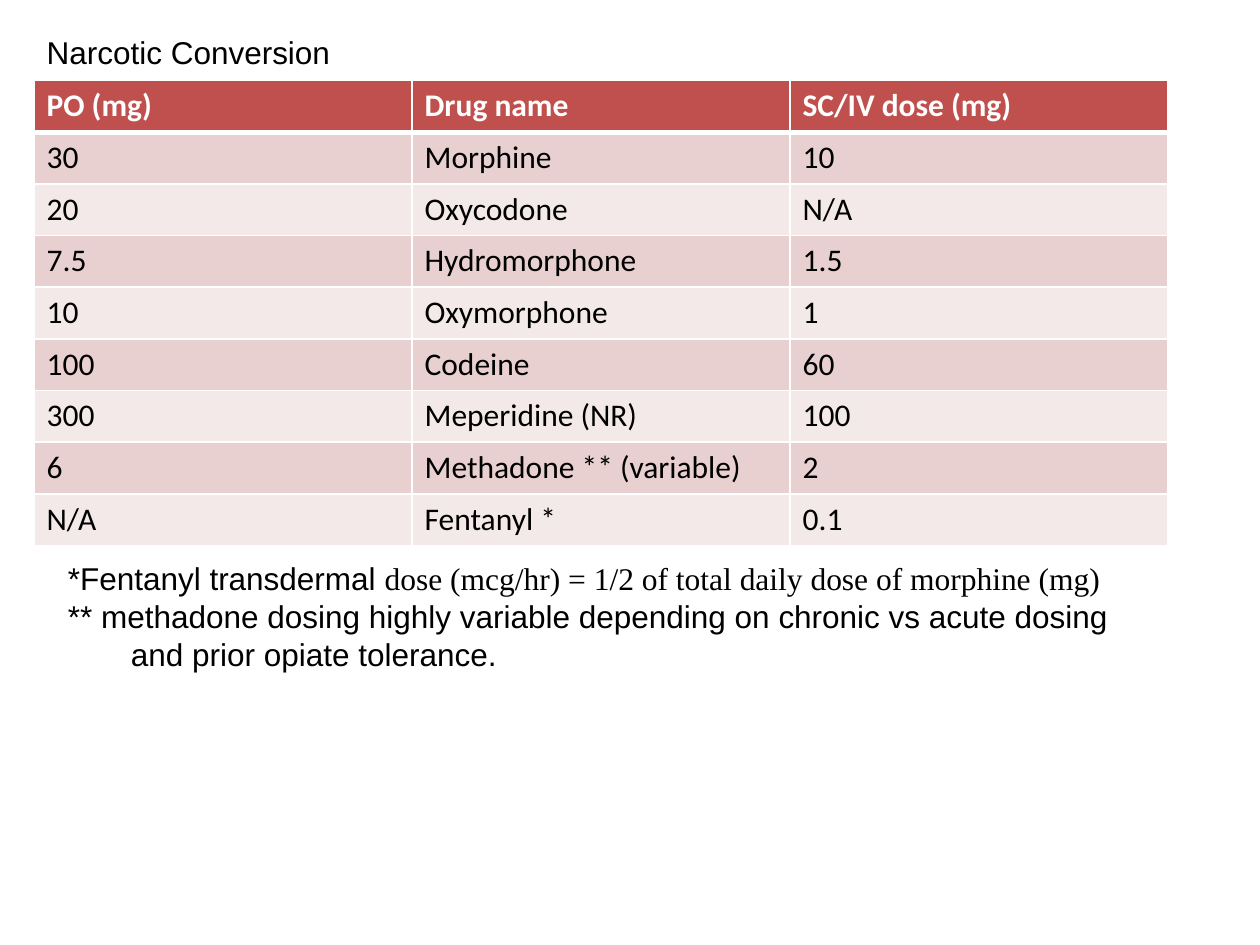
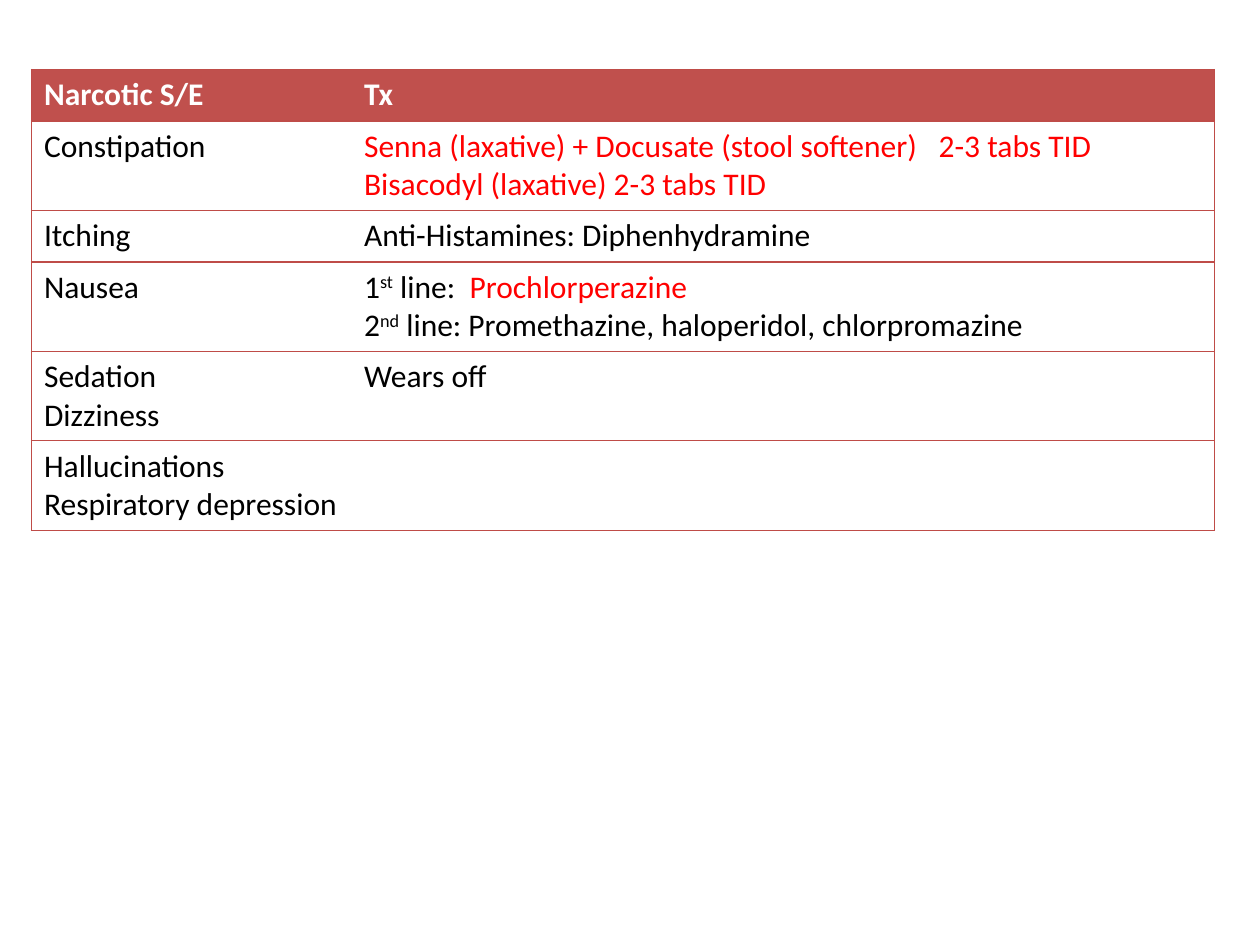
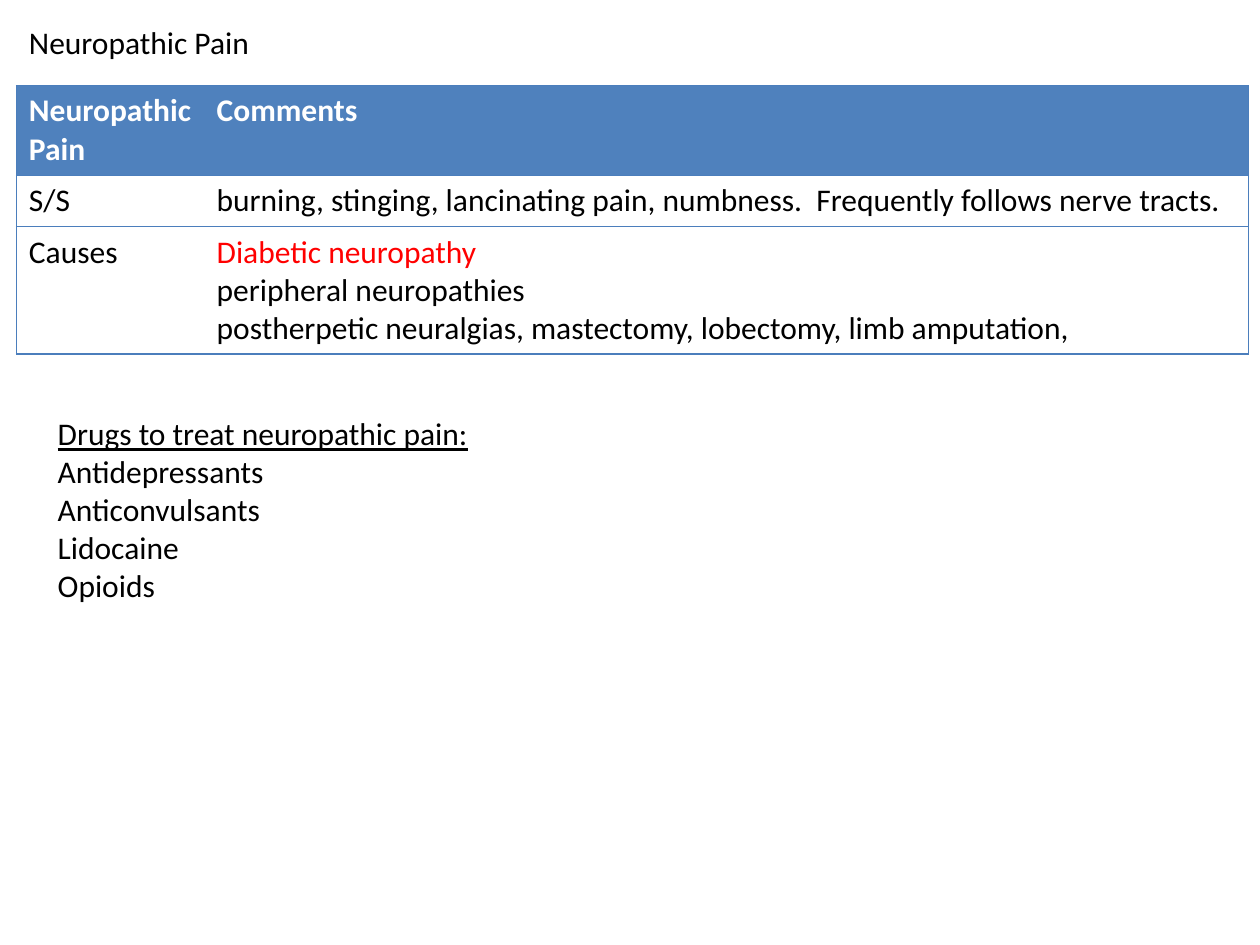
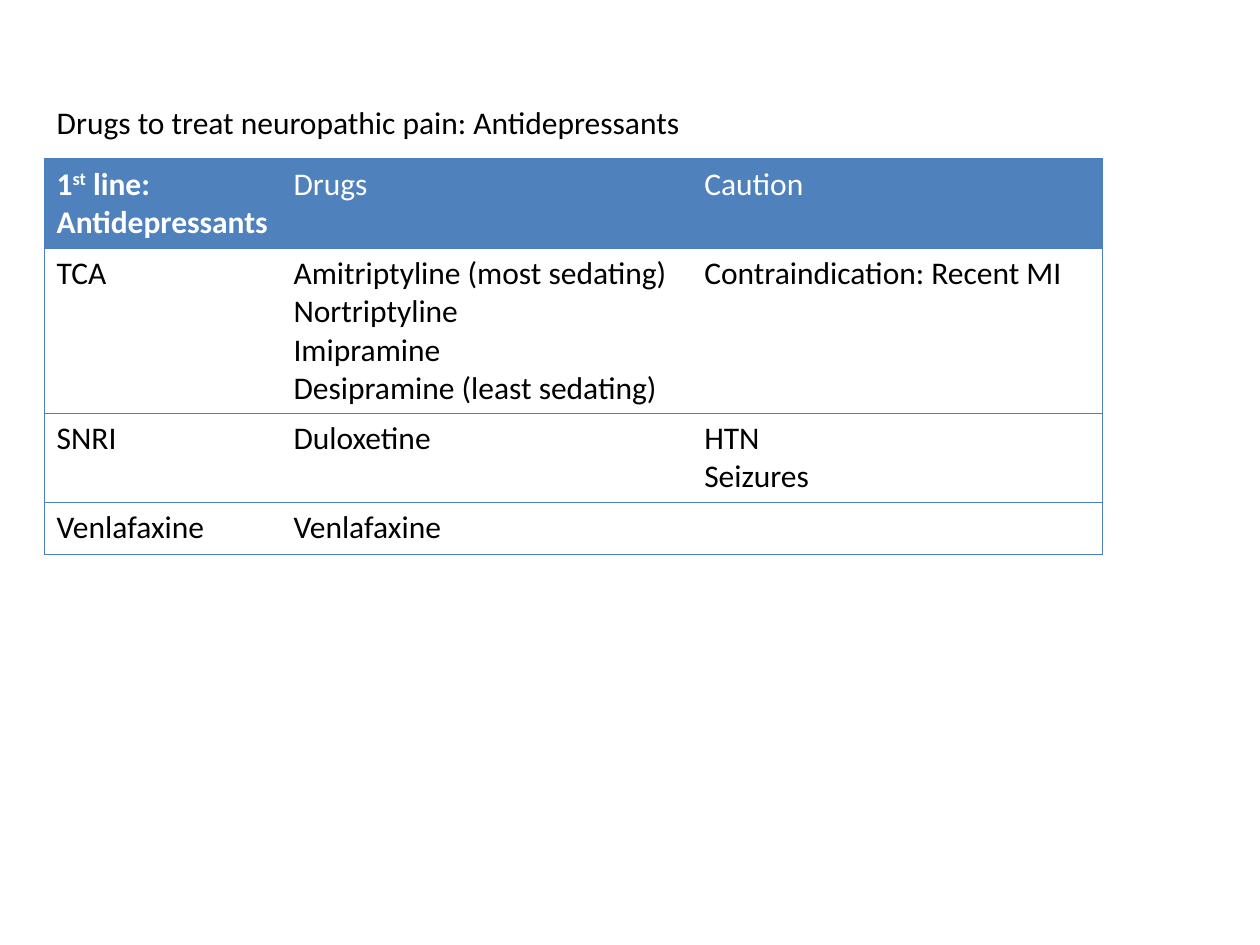
import dataclasses

import pptx
import pptx.dml.color
import pptx.enum.text
import pptx.oxml.ns
import pptx.util
from lxml import etree

Inches = pptx.util.Inches


@dataclasses.dataclass(frozen=True)
class Theme:
    font: str = "Calibri"
    sans: str = "Arial"
    serif: str = "Times New Roman"
    size: int = 18
    text: str = "000000"
    alert: str = "FF0000"
    white: str = "FFFFFF"
    red: str = "C0504D"
    red_line: str = "BF4C48"
    blue: str = "4F81BD"
    blue_line: str = "4B7EBC"
    bands: tuple = ("E8D0D0", "F4E9E9")
    row_height: float = 0.41
    line_height: float = 0.3


THEME = Theme()


# Text: content is a list of paragraphs, each a string or a list of runs;
# a run is a string or a (string, format) pair.
def alert(text):
    return text, {"color": THEME.alert}


def raised(text):
    return text, {"baseline": 30000}


def as_paragraphs(content):
    return content.split("\n") if isinstance(content, str) else content


def format_run(run, font=THEME.font, color=THEME.text, bold=False,
               underline=False, baseline=None):
    run.font.name = font
    run.font.size = pptx.util.Pt(THEME.size)
    run.font.bold = bold
    run.font.underline = underline
    run.font.color.rgb = pptx.dml.color.RGBColor.from_string(color)
    if baseline:
        run.font._element.set("baseline", str(baseline))


def add_tab_stop(paragraph, position):
    properties = paragraph._p.get_or_add_pPr()
    tabs = etree.SubElement(properties, pptx.oxml.ns.qn("a:tabLst"))
    etree.SubElement(tabs, pptx.oxml.ns.qn("a:tab"),
                     pos=str(Inches(position)), algn="l")


def write_text(frame, content, tab_stop=None, **text_format):
    for index, runs in enumerate(as_paragraphs(content)):
        paragraph = frame.paragraphs[0] if index == 0 else frame.add_paragraph()
        paragraph.alignment = pptx.enum.text.PP_ALIGN.LEFT
        runs = [runs] if isinstance(runs, str) else runs
        pairs = [(run, {}) if isinstance(run, str) else run for run in runs]
        if tab_stop and any("\t" in text for text, _ in pairs):
            add_tab_stop(paragraph, tab_stop)
        for text, changes in pairs:
            if text:
                run = paragraph.add_run()
                run.text = text
                format_run(run, **{**text_format, **changes})


def fit_text(shape, content, **text_format):
    frame = shape.text_frame
    frame.word_wrap = False
    frame.auto_size = pptx.enum.text.MSO_AUTO_SIZE.SHAPE_TO_FIT_TEXT
    frame.vertical_anchor = pptx.enum.text.MSO_ANCHOR.TOP
    write_text(frame, content, **text_format)


def add_text(slide, content, left, top, width, height, **text_format):
    box = slide.shapes.add_textbox(*map(Inches, (left, top, width, height)))
    fit_text(box, content, **text_format)


# Slides
def add_titled_slide(presentation, title, left, top, width, **text_format):
    slide = presentation.slides.add_slide(presentation.slide_layouts[5])
    shape = slide.shapes.title
    shape.left, shape.top = Inches(left), Inches(top)
    shape.width, shape.height = Inches(width), Inches(0.4)
    fit_text(shape, title, **text_format)
    return slide


# Tables
def set_border(cell, side, color, width):
    properties = cell._tc.get_or_add_tcPr()
    line = etree.SubElement(properties, pptx.oxml.ns.qn(f"a:ln{side}"),
                            w=str(pptx.util.Pt(width)))
    if color is None:
        etree.SubElement(line, pptx.oxml.ns.qn("a:noFill"))
        return
    fill = etree.SubElement(line, pptx.oxml.ns.qn("a:solidFill"))
    etree.SubElement(fill, pptx.oxml.ns.qn("a:srgbClr"), val=color)


def set_fill(cell, color):
    if color is None:
        cell.fill.background()
    else:
        cell.fill.solid()
        cell.fill.fore_color.rgb = pptx.dml.color.RGBColor.from_string(color)


def add_table(slide, rows, left, top, widths, header, line, line_width=0.75,
              bands=(None,), inner_verticals=False, header_rule=None,
              tab_stop=None):
    heights = [THEME.row_height + THEME.line_height
               * (max(len(as_paragraphs(content)) for content in row) - 1)
               for row in rows]
    table = slide.shapes.add_table(
        len(rows), len(widths), Inches(left), Inches(top),
        Inches(sum(widths)), Inches(sum(heights))).table
    table.horz_banding = False
    for column, width in zip(table.columns, widths):
        column.width = Inches(width)
    header_rule = header_rule or line_width
    last = len(widths) - 1
    for row_index, row in enumerate(rows):
        table.rows[row_index].height = Inches(heights[row_index])
        is_header = row_index == 0
        for column_index, content in enumerate(row):
            cell = table.cell(row_index, column_index)
            write_text(cell.text_frame, content, tab_stop=tab_stop, bold=is_header,
                       color=THEME.white if is_header else THEME.text)
            left_line = line if inner_verticals or column_index == 0 else None
            right_line = line if inner_verticals or column_index == last else None
            set_border(cell, "L", left_line, line_width)
            set_border(cell, "R", right_line, line_width)
            set_border(cell, "T", line, header_rule if row_index == 1 else line_width)
            set_border(cell, "B", line, header_rule if is_header else line_width)
            set_fill(cell, header if is_header else bands[(row_index - 1) % len(bands)])


# Content
def add_conversion_slide(presentation):
    slide = add_titled_slide(presentation, "Narcotic Conversion", 0.27, 0.21, 2.47,
                             font=THEME.sans)
    rows = [
        ("PO (mg)", "Drug name", "SC/IV dose (mg)"),
        ("30", "Morphine", "10"),
        ("20", "Oxycodone", "N/A"),
        ("7.5", "Hydromorphone", "1.5"),
        ("10", "Oxymorphone", "1"),
        ("100", "Codeine", "60"),
        ("300", "Meperidine (NR)", "100"),
        ("6", "Methadone ** (variable)", "2"),
        ("N/A", "Fentanyl *", "0.1"),
    ]
    add_table(slide, rows, 0.27, 0.64, [3, 3, 3], THEME.red, THEME.white,
              line_width=1, bands=THEME.bands, inner_verticals=True, header_rule=3)
    notes = [
        ["*Fentanyl transdermal ",
         ("dose (mcg/hr) = 1/2 of total daily dose of morphine (mg)",
          {"font": THEME.serif})],
        "** methadone dosing highly variable depending on chronic vs acute dosing",
        "\tand prior opiate tolerance.",
    ]
    add_text(slide, notes, 0.44, 4.39, 8.6, 1.01, font=THEME.sans, tab_stop=0.5)


def add_side_effects_slide(presentation):
    slide = presentation.slides.add_slide(presentation.slide_layouts[6])
    rows = [
        ("Narcotic S/E", "Tx"),
        ("Constipation",
         [[alert("Senna (laxative) + Docusate (stool softener)\t2-3 tabs TID")],
          [alert("Bisacodyl (laxative) 2-3 tabs TID")]]),
        ("Itching", "Anti-Histamines: Diphenhydramine"),
        ("Nausea",
         [["1", raised("st"), " line:  ", alert("Prochlorperazine")],
          ["2", raised("nd"), " line: Promethazine, haloperidol, chlorpromazine"]]),
        ("Sedation\nDizziness", "Wears off"),
        ("Hallucinations\nRespiratory depression", ""),
    ]
    add_table(slide, rows, 0.25, 0.55, [2.54, 6.85], THEME.red, THEME.red_line,
              tab_stop=4.56)


def add_neuropathic_slide(presentation):
    slide = add_titled_slide(presentation, "Neuropathic Pain", 0.13, 0.13, 1.98)
    rows = [
        ("Neuropathic\nPain", "Comments"),
        ("S/S", "burning, stinging, lancinating pain, numbness.  "
                "Frequently follows nerve tracts."),
        ("Causes",
         [[alert("Diabetic neuropathy")],
          "peripheral neuropathies",
          "postherpetic neuralgias, mastectomy, lobectomy, limb amputation,"]),
    ]
    add_table(slide, rows, 0.13, 0.68, [1.49, 8.29], THEME.blue, THEME.blue_line)
    drugs = [[("Drugs to treat neuropathic pain:", {"underline": True})],
             "Antidepressants", "Anticonvulsants", "Lidocaine", "Opioids"]
    add_text(slide, drugs, 0.36, 3.24, 3.5, 1.62)


def add_antidepressants_slide(presentation):
    slide = add_titled_slide(
        presentation, "Drugs to treat neuropathic pain: Antidepressants",
        0.35, 0.77, 5.22)
    plain = {"bold": False}
    rows = [
        ([["1", raised("st"), " line:"], "Antidepressants"],
         [[("Drugs", plain)]], [[("Caution", plain)]]),
        ("TCA",
         "Amitriptyline (most sedating)\nNortriptyline\nImipramine\n"
         "Desipramine (least sedating)",
         "Contraindication: Recent MI"),
        ("SNRI", "Duloxetine", "HTN\nSeizures"),
        ("Venlafaxine", "Venlafaxine", ""),
    ]
    add_table(slide, rows, 0.35, 1.26, [1.88, 3.26, 3.26], THEME.blue, THEME.blue_line)


def main():
    presentation = pptx.Presentation()
    presentation.slide_width = Inches(10)
    presentation.slide_height = Inches(7.5)
    add_conversion_slide(presentation)
    add_side_effects_slide(presentation)
    add_neuropathic_slide(presentation)
    add_antidepressants_slide(presentation)
    presentation.save("out.pptx")


if __name__ == "__main__":
    main()
